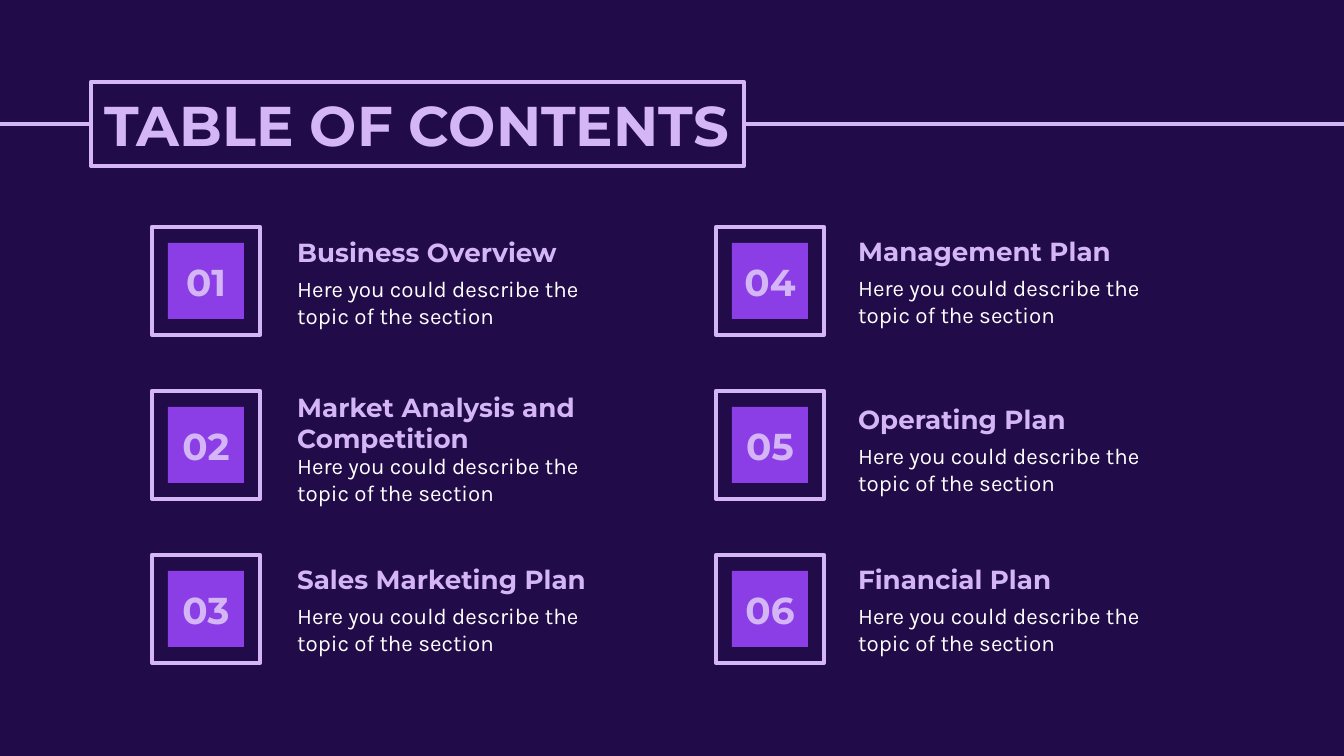
from dataclasses import dataclass

from pptx import Presentation
from pptx.dml.color import RGBColor as RGB
from pptx.enum.shapes import MSO_CONNECTOR as CONN, MSO_SHAPE as SHAPE
from pptx.enum.text import MSO_ANCHOR as ANCHOR, PP_ALIGN as ALIGN
from pptx.oxml.ns import qn
from pptx.util import Emu, Inches, Pt

SCALE = 914400 / 134.4  # EMU in one px


@dataclass(frozen=True)
class Theme:
    back: RGB = RGB.from_string("220B49")
    accent: RGB = RGB.from_string("D4B6F6")
    block: RGB = RGB.from_string("8C3EE6")
    body: RGB = RGB.from_string("FFFFFF")
    head_font: str = "Montserrat"
    body_font: str = "Karla"
    title_size: int = 30
    number_size: int = 20
    heading_size: int = 14
    body_size: int = 12
    stroke: float = 2.25


T = Theme()

# Grid: columns run top to bottom, then left to right
ROWS = 3
FRAME_LEFT = (152, 716)
TEXT_LEFT = (284, 845)
FIRST_TOP, PITCH = 227, 164
FRAME, BLOCK = 108, 76
NUMBER_DROP, NUMBER_HEIGHT = 29, 51
TEXT_WIDTH, HEADING_HEIGHT, BODY_HEIGHT = 347, 62, 79

# Heading, its top, and the drop from there to the description
SECTIONS = (
    ("Business Overview", 223, 39),
    ("Market Analysis and Competition", 378, 61),
    ("Sales Marketing Plan", 550, 39),
    ("Management Plan", 222, 39),
    ("Operating Plan", 390, 39),
    ("Financial Plan", 550, 39),
)
DESCRIPTION = "Here you could describe the topic of the section"


def px(n):
    return Emu(round(n * SCALE))


def write(sp, text, *, size, font=T.head_font, color=T.accent, bold=True,
          align=ALIGN.LEFT, anchor=ANCHOR.TOP):
    tf = sp.text_frame
    tf.word_wrap = True
    tf.vertical_anchor = anchor
    tf.margin_left = tf.margin_right = Inches(0.1)
    tf.margin_top = tf.margin_bottom = Inches(0.1)
    p = tf.paragraphs[0]
    p.alignment = align
    r = p.add_run()
    r.text = text
    r.font.size = Pt(size)
    r.font.name = font
    r.font.bold = bold
    r.font.color.rgb = color


def add_text(s, text, x, y, w, h, **style):
    write(s.shapes.add_textbox(px(x), px(y), px(w), px(h)), text, **style)


def add_rect(shapes, x, y, w, h, fill=None, line=None):
    sp = shapes.add_shape(SHAPE.RECTANGLE, px(x), px(y), px(w), px(h))
    sp.shadow.inherit = False
    if fill is None:
        sp.fill.background()
    else:
        sp.fill.solid()
        sp.fill.fore_color.rgb = fill
    if line is None:
        sp.line.fill.background()
    else:
        sp.line.color.rgb = line
        sp.line.width = Pt(T.stroke)
    return sp


def add_rule(s, x1, x2, y):
    line = s.shapes.add_connector(CONN.STRAIGHT, px(x1), px(y), px(x2), px(y))
    line.line.color.rgb = T.accent
    line.line.width = Pt(T.stroke)
    sp_pr = line._element.spPr
    sp_pr.append(sp_pr.makeelement(qn("a:effectLst"), {}))


def add_badge(s, number, x, y):
    inset = (FRAME - BLOCK) / 2
    group = s.shapes.add_group_shape()
    add_rect(group.shapes, x, y, FRAME, FRAME, line=T.accent)
    add_rect(group.shapes, x + inset, y + inset, BLOCK, BLOCK, fill=T.block)
    add_text(s, f"{number:02d}", x, y + NUMBER_DROP, FRAME, NUMBER_HEIGHT,
             size=T.number_size, align=ALIGN.CENTER, anchor=ANCHOR.MIDDLE)


def add_section(s, index, heading, top, drop):
    col, row = divmod(index, ROWS)
    add_badge(s, index + 1, FRAME_LEFT[col], FIRST_TOP + row * PITCH)
    x = TEXT_LEFT[col]
    add_text(s, heading, x, top, TEXT_WIDTH, HEADING_HEIGHT,
             size=T.heading_size)
    add_text(s, DESCRIPTION, x, top + drop, TEXT_WIDTH, BODY_HEIGHT,
             size=T.body_size, font=T.body_font, color=T.body, bold=False)


def main():
    prs = Presentation()
    prs.slide_width, prs.slide_height = px(1344), px(756)
    s = prs.slides.add_slide(prs.slide_layouts[6])
    s.background.fill.solid()
    s.background.fill.fore_color.rgb = T.back

    # Title box over the rule
    add_rule(s, 0, 1344, 124)
    title = add_rect(s.shapes, 91, 82, 653, 84, fill=T.back, line=T.accent)
    write(title, "TABLE OF CONTENTS", size=T.title_size, anchor=ANCHOR.MIDDLE)

    # Numbered sections
    for index, section in enumerate(SECTIONS):
        add_section(s, index, *section)

    prs.save("out.pptx")


if __name__ == "__main__":
    main()
